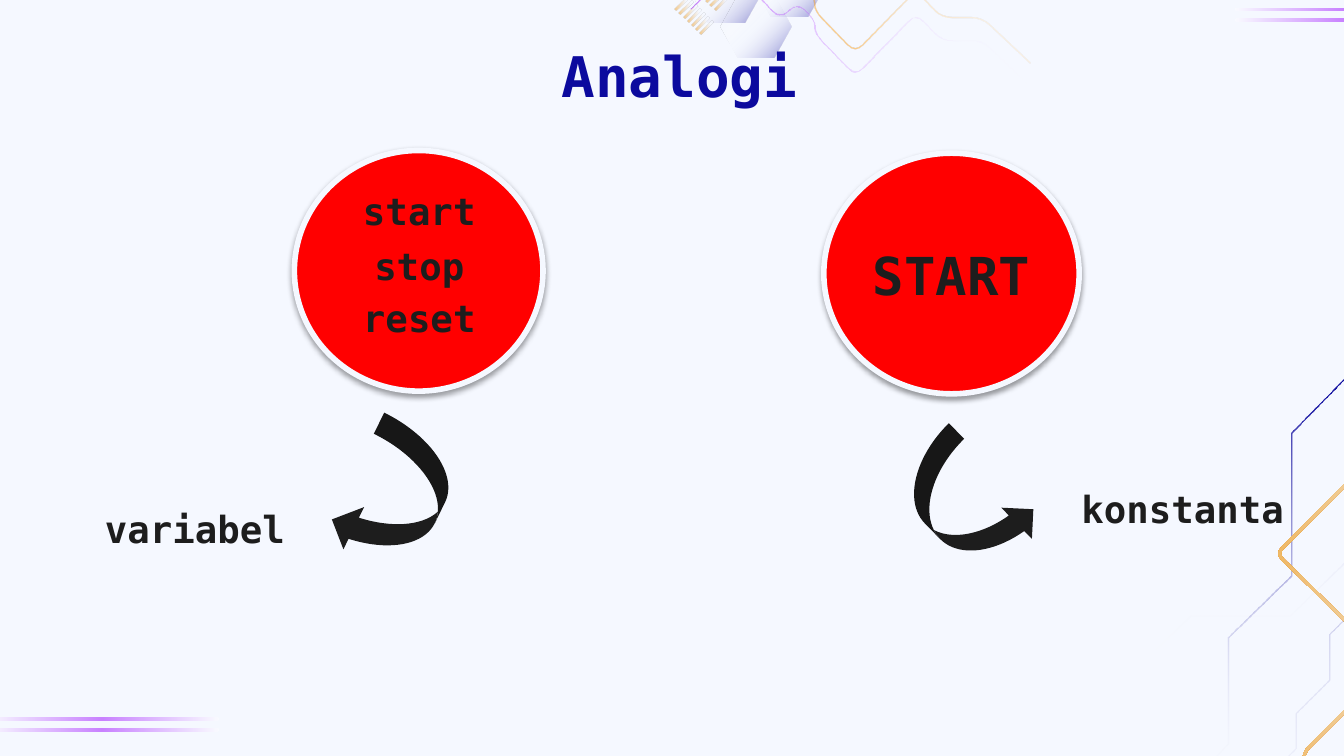
from dataclasses import dataclass

from lxml import etree
from pptx import Presentation
from pptx.dml.color import RGBColor
from pptx.enum.shapes import MSO_SHAPE
from pptx.enum.text import MSO_ANCHOR, PP_ALIGN
from pptx.oxml.ns import qn
from pptx.util import Inches, Pt

RECT, HEXAGON = MSO_SHAPE.RECTANGLE, MSO_SHAPE.HEXAGON
OVAL, CURVED_ARROW = MSO_SHAPE.OVAL, MSO_SHAPE.CURVED_UP_ARROW
CENTER, TOP = PP_ALIGN.CENTER, MSO_ANCHOR.TOP

PALE = RGBColor(0xF5, 0xF8, 0xFF)
WHITE = RGBColor(0xFF, 0xFF, 0xFF)
NAVY = RGBColor(0x0C, 0x0A, 0x9E)
PURPLE = RGBColor(0x99, 0x00, 0xFF)
GOLD = RGBColor(0xEB, 0x91, 0x09)
ORANGE = RGBColor(0xFF, 0x99, 0x00)
RED = RGBColor(0xFF, 0x00, 0x00)
INK = RGBColor(0x1D, 0x1D, 0x1D)
BLACK = RGBColor(0x00, 0x00, 0x00)
FONT = "DejaVu Sans Mono"


@dataclass
class Gradient:
    stops: list  # (position %, colour, opacity %)
    angle: int | None = None  # None means circular


@dataclass
class Ribbon:
    points: list  # centre line in inches
    gradient: Gradient
    radius: float = 0
    width: float = 0.01


@dataclass
class Label:
    text: str
    x: float
    y: float
    w: float = 2.24
    h: float = 0.47
    size: int = 20
    color: RGBColor = INK


NAVY_FADE = Gradient([(0, NAVY, 100), (100, WHITE, 0)], 90)
GOLD_FADE = Gradient([(0, GOLD, 100), (78, PALE, 100), (100, PALE, 100)], 0)
DASH_FADE = Gradient([(0, GOLD, 47), (78, PALE, 47), (100, PALE, 47)], 0)
ORANGE_FADE = Gradient([(0, GOLD, 100), (40, ORANGE, 41), (100, WHITE, 0)], 315)
PURPLE_FADE = Gradient([(0, PURPLE, 47), (100, WHITE, 0)], 0)
GLOW = Gradient([(0, PURPLE, 47), (100, WHITE, 47)])
HEX_FADE = Gradient([(0, PALE, 100), (22, PALE, 100), (45, WHITE, 0), (100, NAVY, 50)], 45)

WAVE = [(5.14, -0.1), (5.67, -0.64), (5.85, -0.45), (5.62, -0.22), (5.8, -0.03),
        (5.93, -0.15), (6.06, -0.02), (6.06, 0.08), (6.36, 0.39), (6.81, -0.07),
        (7, 0.13), (7.3, 0.13), (7.66, 0.47)]
CIRCUITS = [
    Ribbon([(11.91, 1.54), (10.98, 2.47), (10.98, 3.15), (10.37, 3.76), (10.37, 4.08),
            (10.27, 4.18), (10.27, 4.34), (9.89, 4.72), (9.89, 5.06), (9.64, 5.31),
            (9.64, 5.57), (9.02, 6.18), (8.08, 6.18), (7.53, 6.73)], NAVY_FADE),
    Ribbon([(11.78, 1.52), (11.26, 2.04), (11.04, 2.04), (10.42, 2.65), (10.42, 3.42),
            (10.01, 3.83), (10.01, 4.18), (9.6, 4.58), (8.86, 4.58), (8.58, 4.85)], NAVY_FADE),
    Ribbon([(10.01, 2.81), (9.61, 3.22), (9.61, 4.28), (9.14, 4.74), (9.14, 5.53),
            (8.9, 5.78), (8.47, 5.78), (8.47, 5.91)], NAVY_FADE),
    Ribbon([(11.92, 1.7), (11.29, 2.33), (11.66, 2.68), (10.55, 3.78), (10.2, 3.42),
            (9.5, 4.12), (10.35, 4.95), (9.7, 5.6), (9.7, 6.02), (9.06, 6.67), (8.8, 6.4),
            (8.48, 6.72), (8.74, 6.98), (8.61, 7.12), (8.74, 7.25), (8.69, 7.29)],
           GOLD_FADE, radius=0.06, width=0.02),
]
LABELS = [
    Label("variabel", 0.33, 3.67),
    Label("Analogi", 3.12, 0.21, 3.87, 0.63, 30, NAVY),
    Label("konstanta", 7.68, 3.52),
    Label("start", 2, 1.3),
    Label("stop", 2, 1.71),
    Label("reset", 2, 2.1),
    Label("START", 5.96, 1.71, size=28),
]


def add_color(parent, color: RGBColor, opacity: int) -> None:
    clr = etree.SubElement(parent, qn("a:srgbClr"), val=str(color))
    etree.SubElement(clr, qn("a:alpha"), val=str(opacity * 1000))


def fill_gradient(sp, gradient: Gradient) -> None:
    sp.shadow.inherit = False
    sp.line.fill.background()
    sp.fill.background()
    spPr = sp._element.spPr
    grad = etree.Element(qn("a:gradFill"), rotWithShape="1")
    stops = etree.SubElement(grad, qn("a:gsLst"))
    for pos, color, opacity in gradient.stops:
        add_color(etree.SubElement(stops, qn("a:gs"), pos=str(pos * 1000)), color, opacity)
    if gradient.angle is None:
        path = etree.SubElement(grad, qn("a:path"), path="circle")
        etree.SubElement(path, qn("a:fillToRect"), l="50000", t="50000", r="50000", b="50000")
    else:
        etree.SubElement(grad, qn("a:lin"), ang=str(gradient.angle * 60000), scaled="0")
    spPr.replace(spPr.find(qn("a:noFill")), grad)


def add_shape(slide, kind, x: float, y: float, w: float, h: float):
    return slide.shapes.add_shape(kind, Inches(x), Inches(y), Inches(w), Inches(h))


def round_corners(pts: list[complex], radius: float) -> list[complex]:
    if not radius:
        return pts
    out = [pts[0]]
    for a, v, b in zip(pts, pts[1:], pts[2:]):
        start, end = (v + (q - v) * min(radius / abs(q - v), 0.45) for q in (a, b))
        for t in (0, 0.25, 0.5, 0.75, 1):
            out.append((1 - t) ** 2 * start + 2 * t * (1 - t) * v + t * t * end)
    return out + [pts[-1]]


def draw_ribbon(slide, ribbon: Ribbon) -> None:
    """Outline a thin band of even width around the centre line."""
    pts = round_corners([complex(*p) for p in ribbon.points], ribbon.radius)
    normals = [1j * (b - a) / abs(b - a) for a, b in zip(pts, pts[1:])]
    offsets = [(m + n) / (1 + (m * n.conjugate()).real) * ribbon.width / 2
               for m, n in zip(normals[:1] + normals, normals + normals[-1:])]
    outline = [p + o for p, o in zip(pts, offsets)]
    outline += [p - o for p, o in zip(pts[::-1], offsets[::-1])]
    corners = [(Inches(p.real), Inches(p.imag)) for p in outline]
    builder = slide.shapes.build_freeform(*corners[0])
    builder.add_line_segments(corners[1:], close=True)
    fill_gradient(builder.convert_to_shape(), ribbon.gradient)


def draw_button(slide, x: float, y: float, w: float, h: float) -> None:
    sp = add_shape(slide, OVAL, x, y, w, h)
    sp.fill.solid()
    sp.fill.fore_color.rgb = RED
    sp.line.color.rgb = PALE
    sp.line.width = Pt(3)
    sp.shadow.inherit = False
    effects = sp._element.spPr.find(qn("a:effectLst"))
    shadow = etree.SubElement(effects, qn("a:outerShdw"), blurRad=str(Pt(3.1)),
                              dist=str(Pt(1.6)), dir="5400000", rotWithShape="0")
    add_color(shadow, BLACK, 38)


def draw_arrow(slide, x: float, y: float, w: float, h: float,
               rotation: float, flip: bool = False) -> None:
    sp = add_shape(slide, CURVED_ARROW, x, y, w, h)
    sp.fill.solid()
    sp.fill.fore_color.rgb = INK
    sp.line.fill.background()
    sp.shadow.inherit = False
    sp.rotation = rotation
    if flip:
        sp._element.spPr.xfrm.set("flipV", "1")


def add_text(slide, text: str, *, x: float, y: float, w: float, h: float,
             size: int, color: RGBColor) -> None:
    tf = slide.shapes.add_textbox(Inches(x), Inches(y), Inches(w), Inches(h)).text_frame
    tf.word_wrap = True
    tf.vertical_anchor = TOP
    tf.margin_left = tf.margin_right = tf.margin_top = tf.margin_bottom = Inches(0.1)
    p = tf.paragraphs[0]
    p.alignment = CENTER
    r = p.add_run()
    r.text = text
    r.font.name, r.font.size, r.font.bold = FONT, Pt(size), True
    r.font.color.rgb = color


def main() -> None:
    prs = Presentation()
    prs.slide_width = Inches(10)
    prs.slide_height = Inches(10 * 9 / 16)
    slide = prs.slides.add_slide(prs.slide_layouts[6])
    slide.background.fill.solid()
    slide.background.fill.fore_color.rgb = PALE

    # Glowing bars in the corners
    for x, y, w in [(-0.11, 5.34, 1.74), (-0.11, 5.42, 1.74), (9.19, 0.14, 1.63), (9.19, 0.06, 1.63)]:
        fill_gradient(add_shape(slide, RECT, x, y, w, 0.02), GLOW)

    # Circuit lines, hexagons and waves
    for ribbon in CIRCUITS:
        draw_ribbon(slide, ribbon)
    for x, y in [(5.36, -0.03), (5.14, -0.29), (5.61, -0.34)]:
        sp = add_shape(slide, HEXAGON, x, y, 0.53, 0.46)
        sp.adjustments[0] = 0.28
        fill_gradient(sp, HEX_FADE)
    for dy, gradient in [(0, ORANGE_FADE), (0.17, PURPLE_FADE)]:
        draw_ribbon(slide, Ribbon([(x, y + dy) for x, y in WAVE], gradient, radius=0.08))

    # Two rows of slanted dashes
    for x, y, count in [(5.26, 0.01, 3), (5.03, 0.07, 7)]:
        for i in range(count):
            left, low = x + 0.03 * i, y + 0.03 * i
            draw_ribbon(slide, Ribbon([(left + 0.09, low - 0.09), (left, low)],
                                      DASH_FADE, width=0.02))

    # Buttons, arrows and wording
    draw_button(slide, 2.19, 1.12, 1.85, 1.79)
    draw_button(slide, 6.13, 1.14, 1.9, 1.79)
    draw_arrow(slide, 6.67, 3.43, 1.06, 0.65, 45.5)
    draw_arrow(slide, 2.41, 3.35, 1.06, 0.7, 116.1, flip=True)
    for label in LABELS:
        add_text(slide, label.text, x=label.x, y=label.y, w=label.w, h=label.h,
                 size=label.size, color=label.color)

    prs.save("out.pptx")


if __name__ == "__main__":
    main()
